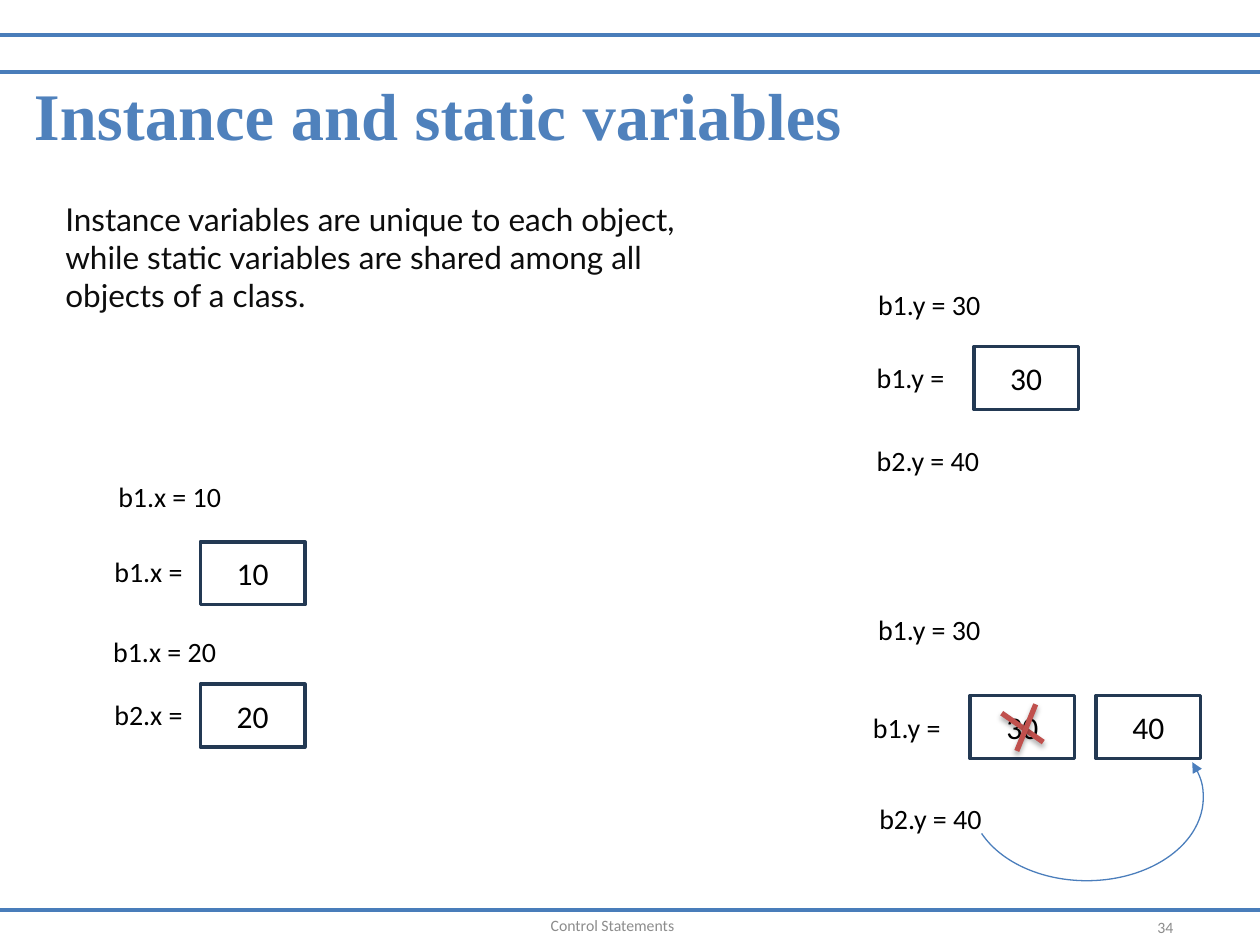
from dataclasses import dataclass
from typing import Any

from lxml import etree
from pptx import Presentation
from pptx import util as u
from pptx.dml.color import RGBColor
from pptx.enum import shapes, text
from pptx.oxml import ns, parse_xml

ALIGN = text.PP_ALIGN
MIDDLE = text.MSO_ANCHOR.MIDDLE
SHADOW = (
    f'<a:effectLst {ns.nsdecls("a")}>'
    '<a:outerShdw blurRad="39370" dist="22860" dir="5400000" rotWithShape="0">'
    '<a:srgbClr val="000000"><a:alpha val="35000"/></a:srgbClr>'
    '</a:outerShdw></a:effectLst>'
)


def rgb(value):
    return RGBColor.from_string(value)


@dataclass
class SlideBuilder:
    """Draws styled elements on the current slide or group."""

    slide: Any
    canvas: Any = None
    font: str = "Calibri"
    ink: str = "000000"
    grey: str = "8C8C8C"
    rule_blue: str = "497DBA"
    arc_blue: str = "4B7EBC"
    box_edge: str = "233953"
    cross_red: str = "C0504D"

    def __post_init__(self):
        self.canvas = self.slide.shapes

    def start_group(self):
        self.canvas = self.slide.shapes.add_group_shape().shapes

    def end_group(self):
        self.canvas = self.slide.shapes

    def set_text(self, shape, words, size, color=None, font=None, bold=False, align=ALIGN.LEFT):
        paragraph = shape.text_frame.paragraphs[0]
        paragraph.text = words
        paragraph.alignment = align
        paragraph.font.size = u.Pt(size)
        paragraph.font.name = font or self.font
        paragraph.font.bold = bold
        paragraph.font.color.rgb = rgb(color or self.ink)
        return paragraph

    def label(self, words, left, top, width=1.55, height=0.37, size=16, grow=True, **style):
        box = self.canvas.add_textbox(*map(u.Inches, (left, top, width, height)))
        frame = box.text_frame
        frame.word_wrap = True
        if grow:
            frame.auto_size = text.MSO_AUTO_SIZE.SHAPE_TO_FIT_TEXT
        else:
            frame.vertical_anchor = MIDDLE
        return frame, self.set_text(box, words, size, **style)

    def value_box(self, value, left, top):
        box = self.canvas.add_shape(
            shapes.MSO_SHAPE.RECTANGLE, *map(u.Inches, (left, top, 0.83, 0.5)))
        box.shadow.inherit = False
        box.fill.solid()
        box.fill.fore_color.rgb = rgb("FFFFFF")
        box.line.color.rgb = rgb(self.box_edge)
        box.line.width = u.Pt(2)
        box.text_frame.vertical_anchor = MIDDLE
        self.set_text(box, value, 18, align=ALIGN.CENTER)

    def line(self, start, end, color, width, shadow=False):
        stroke = self.canvas.add_connector(
            shapes.MSO_CONNECTOR.STRAIGHT, *map(u.Inches, (*start, *end)))
        stroke.line.color.rgb = rgb(color)
        stroke.line.width = u.Pt(width)
        properties = stroke.element.spPr
        if shadow:
            properties.append(parse_xml(SHADOW))
        else:
            etree.SubElement(properties, ns.qn("a:effectLst"))

    def rule(self, top):
        self.line((0, top), (10, top), self.rule_blue, 2.25)

    def arc_arrow(self, left, top, width, height, start, end):
        arc = self.canvas.add_shape(
            shapes.MSO_SHAPE.ARC, *map(u.Inches, (left, top, width, height)))
        arc.adjustments[0], arc.adjustments[1] = start, end
        arc.shadow.inherit = False
        arc.fill.background()
        arc.line.color.rgb = rgb(self.arc_blue)
        arc.line.width = u.Pt(0.75)
        outline = arc.element.spPr.find(ns.qn("a:ln"))
        etree.SubElement(outline, ns.qn("a:headEnd"), type="triangle")

    def title(self, words):
        frame, heading = self.label(
            words, 0.17, 0.51, 9.83, 0.72, 38,
            color="4F81BC", font="Times New Roman", bold=True)
        frame.margin_left = frame.margin_right = frame.margin_bottom = 0
        frame.margin_top = u.Inches(0.08)
        heading.space_before = u.Pt(6)
        heading._p.get_or_add_pPr().set("marL", str(u.Inches(0.1)))

    def footer(self, words, number):
        self.label(words, 3.17, 7.14, 3.38, 0.4, 9, grow=False,
                   color=self.grey, align=ALIGN.CENTER)
        _, page = self.label(number, 7.16, 7.14, 2.25, 0.4, 9, grow=False,
                             color=self.grey, align=ALIGN.RIGHT)
        page.line_spacing = u.Pt(14.1)

    def variable(self, name, value, left, top, box_left, box_top):
        self.value_box(value, box_left, box_top)
        self.label(f"{name} =", left, top, width=0.83)


def main():
    deck = Presentation()
    deck.slide_width, deck.slide_height = u.Inches(10), u.Inches(7.5)
    page = SlideBuilder(deck.slides.add_slide(deck.slide_layouts[6]))

    for top in (7.22, 0.28, 0.57):
        page.rule(top)
    page.title("Instance and static variables")
    page.footer("Control Statements", "34")

    page.start_group()
    page.variable("b1.x", "10", 0.81, 4.35, 1.59, 4.3)
    page.label("b1.x = 10", 0.84, 3.76)
    page.label("b1.x = 20", 0.8, 4.99)
    page.variable("b2.x", "20", 0.81, 5.49, 1.59, 5.43)

    page.start_group()
    page.variable("b1.y", "30", 6.83, 5.59, 7.7, 5.52)
    page.label("b1.y = 30", 6.87, 4.81)
    page.label("b2.y = 40", 6.88, 6.31)
    page.arc_arrow(7.7, 5.67, 1.85, 1.32, 204.88, 96.7)
    page.value_box("40", 8.7, 5.52)
    page.variable("b1.y", "30", 6.86, 2.81, 7.73, 2.75)
    page.label("b1.y = 30", 6.87, 2.23)
    page.label("b2.y = 40", 6.86, 3.47)
    for start, end in (((7.95, 5.66), (8.28, 5.89)), ((8.22, 5.59), (8.07, 5.96))):
        page.line(start, end, page.cross_red, 3, shadow=True)

    page.end_group()
    page.label(
        "Instance variables are unique to each object, while static variables "
        "are shared among all objects of a class.",
        0.42, 1.54, 5.5, 1.01, 18, color="0D0D0D", font="Lato")

    deck.save("out.pptx")


if __name__ == "__main__":
    main()
